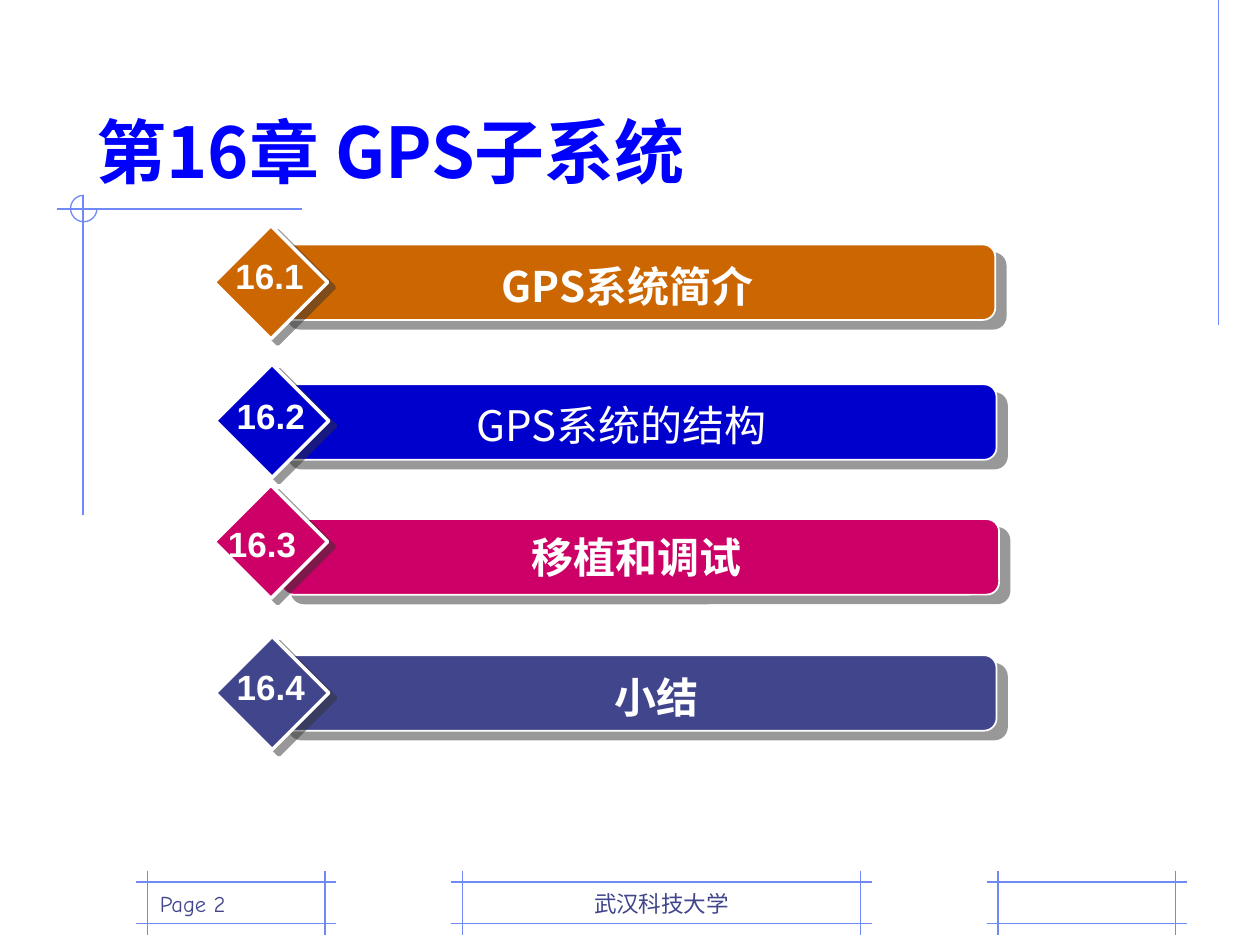
from math import cos, radians, sin

from lxml.etree import SubElement
from pptx import Presentation
from pptx.dml.color import RGBColor
from pptx.enum.shapes import MSO_CONNECTOR, MSO_SHAPE as Shape
from pptx.enum.text import MSO_ANCHOR as Anchor, PP_ALIGN as Align
from pptx.oxml.ns import qn
from pptx.util import Inches, Pt

# Content
TITLE = "第16章 GPS子系统"
FOOTER = "武汉科技大学"
PAGE = "Page 2"
# label, text, colour, bold, then (left, top) of bar, diamond and label,
# and (left, top, width) of the caption
SECTIONS = [
    ("16.1", "GPS系统简介", "CC6600", True,
     (2.2, 1.94), (1.7, 1.79), (1.77, 1.97), (2.73, 2.02, 4.5)),
    ("16.2", "GPS系统的结构", "0000CC", False,
     (2.21, 3.05), (1.71, 2.89), (1.78, 3.08), (2.68, 3.12, 4.5)),
    ("16.3", "移植和调试", "CC0066", True,
     (2.23, 4.12), (1.7, 3.85), (1.71, 4.1), (2.8, 4.17, 4.5)),
    ("16.4", "小结", "40458C", True,
     (2.21, 5.2), (1.71, 5.05), (1.78, 5.23), (2.76, 5.28, 4.9)),
]
FRAMES = [(1.17, 2.58), (3.67, 6.83), (7.92, 9.33)]
FRAME_TOP, FRAME_BOTTOM, OVERSHOOT = 7, 7.33, 0.09
RULES = [(9.67, 0, 9.67, 2.58), (2.4, 1.66, 0.45, 1.66), (0.66, 1.55, 0.66, 4.09)]

THEME = {
    "rule": "6F89F7", "title": "0000FF", "footer": "40458C",
    "white": "FFFFFF", "shadow": "333333",
    "cjk": "Noto Sans CJK JP", "label": "Arial", "hand": "Comic Neue",
    "title_size": 40, "caption_size": 24, "label_size": 20, "footer_size": 12.9,
}


def rgb(name):
    return RGBColor.from_string(THEME.get(name, name))


def add_line(shapes, x1, y1, x2, y2):
    line = shapes.add_connector(MSO_CONNECTOR.STRAIGHT, *map(Inches, (x1, y1, x2, y2)))
    line.line.color.rgb = rgb("rule")
    line.line.width = Pt(0.75)
    SubElement(line._element.spPr, qn("a:effectLst"))


def add_shadow(sp, distance, angle):
    sp.shadow.inherit = False
    effects = sp._element.spPr.find(qn("a:effectLst"))
    shadow = SubElement(effects, qn("a:outerShdw"), blurRad="0",
                        dist=str(Pt(distance)), dir=str(angle * 60000),
                        algn="ctr", rotWithShape="0")
    color = SubElement(shadow, qn("a:srgbClr"), val=THEME["shadow"])
    SubElement(color, qn("a:alpha"), val="50000")


def add_block(shapes, kind, box, fill, line_width=None):
    sp = shapes.add_shape(kind, *map(Inches, box))
    sp.shadow.inherit = False
    sp.fill.solid()
    sp.fill.fore_color.rgb = rgb(fill)
    if line_width:
        sp.line.color.rgb = rgb("white")
        sp.line.width = Pt(line_width)
    else:
        sp.line.fill.background()
    return sp


def write(sp, text, size, font, color, bold=False, align=Align.CENTER,
          anchor=Anchor.TOP, wrap=True, spacing=None):
    tf = sp.text_frame
    tf.word_wrap = wrap
    tf.vertical_anchor = anchor
    tf.text = text
    p = tf.paragraphs[0]
    p.alignment = align
    if spacing:
        p.line_spacing = spacing
    r = p.runs[0]
    r.font.size = Pt(THEME[size])
    r.font.bold = bold
    r.font.color.rgb = rgb(color)
    r.font.name = THEME[font]
    SubElement(r._r.get_or_add_rPr(), qn("a:ea"), typeface=THEME[font])


def add_text(shapes, box, *args, **options):
    write(shapes.add_textbox(*map(Inches, box)), *args, **options)


def add_section(slide, label, text, color, bold, bar_at, diamond_at, label_at, caption):
    shapes = slide.shapes.add_group_shape().shapes
    bar = add_block(shapes, Shape.ROUNDED_RECTANGLE, (*bar_at, 5.7, 0.6), color, 1)
    add_shadow(bar, 7.8, 40)
    diamond = add_block(shapes, Shape.DIAMOND, (*diamond_at, 0.9, 0.9), color, 2)
    add_shadow(diamond, 5, 37)
    panel = add_block(shapes, Shape.RECTANGLE, (*caption, 0.5), color)
    write(panel, text, "caption_size", "cjk", "white", bold)
    add_text(shapes, (*label_at, 0.74, 0.44), label, "label_size", "label",
             "white", True, wrap=False)


def main():
    prs = Presentation()
    prs.slide_width, prs.slide_height = Inches(10), Inches(7.5)
    slide = prs.slides.add_slide(prs.slide_layouts[6])
    shapes = slide.shapes

    # Footer frames: lines that cross at the corners
    for left, right in FRAMES:
        for y in (FRAME_TOP, FRAME_BOTTOM):
            add_line(shapes, left - OVERSHOOT, y, right + OVERSHOOT, y)
        for x in (left, right):
            add_line(shapes, x, FRAME_TOP - OVERSHOOT, x, FRAME_BOTTOM + OVERSHOOT)

    # Margin rules and the three-quarter circle
    for rule in RULES:
        add_line(shapes, *rule)
    arc = shapes.add_shape(Shape.ARC, *map(Inches, (0.56, 1.55, 0.21, 0.21)))
    arc.shadow.inherit = False
    arc.adjustments[0], arc.adjustments[1] = 0, 162  # 0 to 270 degrees
    arc.fill.background()
    arc.line.color.rgb = rgb("rule")
    arc.line.width = Pt(0.75)

    # Footer texts and title
    for text, (left, right), align in ((FOOTER, FRAMES[1], Align.CENTER),
                                       (PAGE, FRAMES[0], Align.LEFT)):
        add_text(shapes, (left, FRAME_TOP, right - left, FRAME_BOTTOM - FRAME_TOP),
                 text, "footer_size", "hand", "footer", align=align,
                 anchor=Anchor.BOTTOM, spacing=0.9)
    add_text(shapes, (0.67, 0.33, 8.5, 1.25), TITLE, "title_size", "cjk", "title",
             True, align=Align.LEFT, anchor=Anchor.BOTTOM)

    # Sections
    for section in SECTIONS:
        add_section(slide, *section)

    prs.save("out.pptx")


if __name__ == "__main__":
    main()
